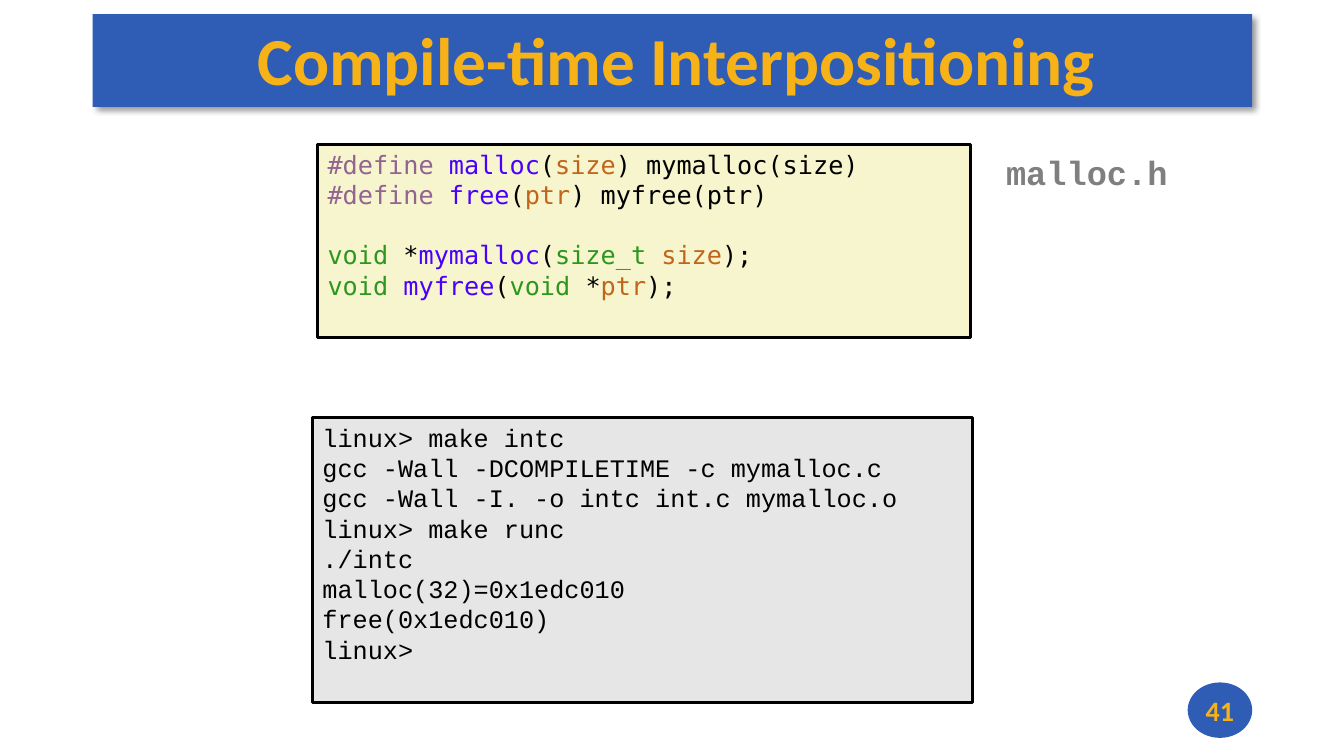
from lxml import etree
from pptx import Presentation
from pptx.dml.color import RGBColor
from pptx.enum.shapes import MSO_SHAPE
from pptx.enum.text import MSO_ANCHOR, MSO_AUTO_SIZE, PP_ALIGN
from pptx.oxml import parse_xml
from pptx.util import Inches, Pt

RECT, OVAL = MSO_SHAPE.RECTANGLE, MSO_SHAPE.OVAL
TOP, MIDDLE = MSO_ANCHOR.TOP, MSO_ANCHOR.MIDDLE
LEFT, CENTER = PP_ALIGN.LEFT, PP_ALIGN.CENTER
FIXED = MSO_AUTO_SIZE.NONE

BODY, MONO, CODE = "Calibri", "Courier New", "DejaVu Sans Mono"
COLORS = {
    "blue": "2F5CB5", "gold": "F7B217", "cream": "F7F5CD", "silver": "E6E6E6",
    "gray": "7F7F7F", "black": "000000",
    "macro": "926492", "func": "4A00FF", "arg": "C1651C", "type": "2D961E",
}
SHADOW = (
    '<a:effectLst xmlns:a="http://schemas.openxmlformats.org/drawingml/2006/main">'
    '<a:outerShdw blurRad="50800" dist="38100" dir="2700000" algn="tl" rotWithShape="0">'
    '<a:srgbClr val="000000"><a:alpha val="40000"/></a:srgbClr>'
    '</a:outerShdw></a:effectLst>'
)

# Each code line is a list of (text, colour) runs
DEFINES = [
    [("#define ", "macro"), ("malloc", "func"), ("(", "black"),
     ("size", "arg"), (") mymalloc(size)", "black")],
    [("#define ", "macro"), ("free", "func"), ("(", "black"),
     ("ptr", "arg"), (") myfree(ptr)", "black")],
]
PROTOS = [
    [("void", "type"), (" *", "black"), ("mymalloc", "func"), ("(", "black"),
     ("size_t ", "type"), ("size", "arg"), (");", "black")],
    [("void ", "type"), ("myfree", "func"), ("(", "black"), ("void", "type"),
     (" *", "black"), ("ptr", "arg"), (");", "black")],
]
SHELL = [
    "linux> make intc",
    "gcc -Wall -DCOMPILETIME -c mymalloc.c",
    "gcc -Wall -I. -o intc int.c mymalloc.o",
    "linux> make runc",
    "./intc",
    "malloc(32)=0x1edc010",
    "free(0x1edc010)",
    "linux>",
]


def color(name):
    return RGBColor.from_string(COLORS[name])


def place(shape, box):
    shape.left, shape.top, shape.width, shape.height = map(Inches, box)


def write(shape, lines, font, size, bold=False, align=LEFT, anchor=TOP,
          wrap=True):
    frame = shape.text_frame
    frame.word_wrap, frame.auto_size = wrap, FIXED
    frame.vertical_anchor = anchor
    for i, line in enumerate(lines):
        para = frame.add_paragraph() if i else frame.paragraphs[0]
        para.alignment = align
        for text, name in line:
            run = para.add_run()
            run.text = text
            run.font.name, run.font.size = font, Pt(size)
            run.font.bold = bold
            run.font.color.rgb = color(name)
    return frame


def add_block(slide, kind, box, fill, line=None):
    shape = slide.shapes.add_shape(kind, *map(Inches, box))
    shape.shadow.inherit = False
    shape.fill.solid()
    shape.fill.fore_color.rgb = color(fill)
    if line:
        shape.line.color.rgb = color(line)
        shape.line.width = Pt(2.25)
    else:
        shape.line.fill.background()
    return shape


def add_title(slide, text):
    bar = add_block(slide, RECT, (0.92, 0.14, 11.5, 0.92), "blue")
    props = bar.element.spPr
    props.remove(props.find("{*}effectLst"))
    props.append(parse_xml(etree.fromstring(SHADOW) is not None and SHADOW))
    title = slide.shapes.title
    place(title, (0.92, 0.12, 11.5, 0.92))
    frame = write(title, [[(text, "gold")]], BODY, 48, True, CENTER, MIDDLE)
    frame.margin_left, frame.margin_right = Inches(0.08), 0
    frame.margin_top = frame.margin_bottom = Inches(0.03)
    bar.element.addnext(title.element)  # title in front of its bar


def add_label(slide, box, text):
    label = slide.shapes.add_textbox(*map(Inches, box))
    write(label, [[(text, "gray")]], MONO, 24, True, wrap=False)


def add_badge(slide, text):
    badge = add_block(slide, OVAL, (11.78, 6.77, 0.64, 0.55), "blue")
    frame = write(badge, [[(text, "gold")]], BODY, 20, True, CENTER, MIDDLE,
                  wrap=False)
    frame.margin_left = frame.margin_right = 0
    frame.margin_top = frame.margin_bottom = 0


def main():
    deck = Presentation()
    deck.slide_width, deck.slide_height = Inches(13.33), Inches(7.5)
    slide = deck.slides.add_slide(deck.slide_layouts[5])

    add_title(slide, "Compile-time Interpositioning")

    # Header file, with a gap before the prototypes
    header = add_block(slide, RECT, (3.15, 1.43, 6.48, 1.92), "cream", "black")
    frame = write(header, DEFINES + PROTOS, CODE, 18)
    frame.paragraphs[len(DEFINES)].space_before = Pt(21.5)
    add_label(slide, (9.88, 1.46, 1.81, 0.5), "malloc.h")

    # Shell session
    shell = add_block(slide, RECT, (3.1, 4.14, 6.55, 2.83), "silver", "black")
    write(shell, [[(line, "black")] for line in SHELL], MONO, 18)

    add_badge(slide, "41")
    deck.save("out.pptx")


if __name__ == "__main__":
    main()
